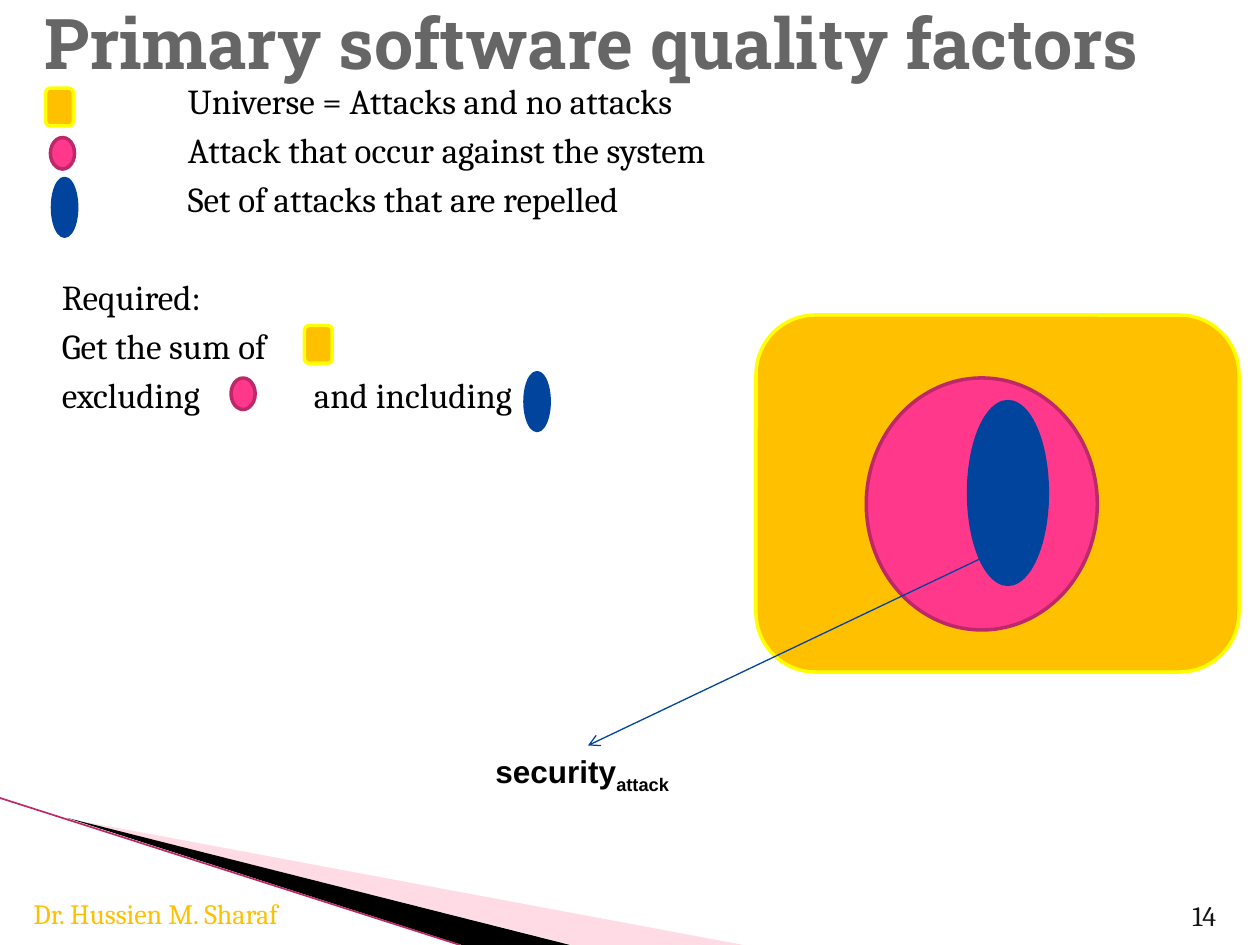
from dataclasses import dataclass
from typing import NamedTuple

from pptx import Presentation
from pptx.dml.color import RGBColor as RGB
from pptx.enum.shapes import MSO_CONNECTOR as CONN, MSO_SHAPE as SHAPE
from pptx.enum.text import MSO_ANCHOR as ANCHOR, MSO_AUTO_SIZE as AUTO, PP_ALIGN as ALIGN
from pptx.oxml.ns import qn
from pptx.oxml.xmlchemy import OxmlElement as Element
from pptx.util import Emu, Inches, Pt

COLS, ROWS = 120, 90
UNIT = Inches(10) // COLS


@dataclass(frozen=True)
class Theme:
    universe: str = "FFC000"
    universe_edge: str = "FFFF00"
    attack: str = "FF388C"
    attack_edge: str = "BD2968"
    repelled: str = "00449E"
    wedge: str = "FFA5BF"
    black: str = "000000"
    heading: str = "666666"
    number: str = "151515"
    head_font: str = "Roboto Slab"
    text_font: str = "Cambria"
    label_font: str = "Arial"
    head_size: int = 40
    text_size: int = 20
    label_size: int = 18
    foot_size: int = 16


T = Theme()


class Box(NamedTuple):
    col: float
    row: float
    cols: float
    rows: float


class Look(NamedTuple):
    shape: SHAPE
    fill: str
    edge: str
    cols: float
    rows: float


UNIVERSE = Look(SHAPE.ROUNDED_RECTANGLE, T.universe, T.universe_edge, 2.64, 3.6)
ATTACK = Look(SHAPE.OVAL, T.attack, T.attack_edge, 2.3, 3)
REPELLED = Look(SHAPE.OVAL, T.repelled, T.repelled, 2.3, 5.5)

KEYS = [
    (UNIVERSE, 4.35, 8.4), (ATTACK, 4.8, 13.1), (REPELLED, 5, 17),
    (UNIVERSE, 29, 31), (ATTACK, 22, 36), (REPELLED, 50, 35.5),
]
DIAGRAM = [
    (UNIVERSE, Box(72, 30, 46, 34)),
    (ATTACK, Box(82.5, 36, 22, 24)),
    (REPELLED, Box(92.25, 38.25, 7.5, 17.4)),
]
WEDGES = [
    ([(6.6, 78), (70.8, 90), (54.5, 90)], T.wedge, 40),
    ([(6.4, 77.9), (54.3, 90), (44, 90)], T.black, 100),
]
LINES = [
    ("\tUniverse = Attacks and no attacks", 0),
    ("\tAttack that occur against the system", 4),
    ("\tSet of attacks that are repelled", 4),
    ("Required:", 32),
    ("Get the sum of", 4),
    ("excluding \tand including", 4),
]


def u(n: float) -> Emu:
    return Emu(round(n * UNIT))


def apply(obj, values: dict) -> None:
    for name, value in values.items():
        setattr(obj, name, value)


def place(sp, box: Box) -> None:
    apply(sp, dict(zip(("left", "top", "width", "height"), map(u, box))))


def add_run(p, text: str, font: str, size: int, color: str, bold: bool = False):
    r = p.add_run()
    r.text = text
    apply(r.font, {"name": font, "size": Pt(size), "bold": bold})
    r.font.color.rgb = RGB.from_string(color)
    return r


def add_shape(s, look: Look, box: Box) -> None:
    sp = s.shapes.add_shape(look.shape, *map(u, box))
    sp.shadow.inherit = False
    sp.fill.solid()
    sp.fill.fore_color.rgb = RGB.from_string(look.fill)
    sp.line.color.rgb = RGB.from_string(look.edge)
    sp.line.width = Pt(2)


def add_wedge(s, points: list, color: str, opacity: int) -> None:
    start, *rest = [(u(x), u(y)) for x, y in points]
    fb = s.shapes.build_freeform(*start)
    fb.add_line_segments(rest)
    sp = fb.convert_to_shape()
    sp.shadow.inherit = False
    sp.fill.solid()
    sp.fill.fore_color.rgb = RGB.from_string(color)
    sp.line.fill.background()
    if opacity < 100:
        alpha = Element("a:alpha")
        alpha.set("val", str(opacity * 1000))
        sp.fill._xPr.find(".//" + qn("a:srgbClr")).append(alpha)


def add_line(s, start: tuple, end: tuple, color: str, width: float, arrow: bool = False) -> None:
    sp = s.shapes.add_connector(CONN.STRAIGHT, *map(u, start + end))
    sp.line.color.rgb = RGB.from_string(color)
    sp.line.width = Pt(width)
    if arrow:
        tail = Element("a:tailEnd")
        tail.set("type", "arrow")
        sp.line._get_or_add_ln().append(tail)
    sp._element.spPr.append(Element("a:effectLst"))


def add_text(s, box: Box, align: ALIGN = ALIGN.LEFT, wrap: bool = True):
    sp = s.shapes.add_textbox(*map(u, box))
    sp.text_frame.word_wrap = wrap
    p = sp.text_frame.paragraphs[0]
    p.alignment = align
    return sp.text_frame, p


def fill_body(sp) -> None:
    place(sp, Box(3.25, 7, 117, 24))
    tf = sp.text_frame
    apply(tf, {"word_wrap": True, "auto_size": AUTO.NONE, "vertical_anchor": ANCHOR.TOP})
    layout = {"marL": Inches(0.12), "indent": 0, "defTabSz": Inches(1)}
    for i, (text, before) in enumerate(LINES):
        p = tf.add_paragraph() if i else tf.paragraphs[0]
        pPr = p._p.get_or_add_pPr()
        for name, value in layout.items():
            pPr.set(name, str(value))
        pPr.append(Element("a:buNone"))
        p.space_before = Pt(before)
        add_run(p, text, T.text_font, T.text_size, T.black)


def fill_title(sp) -> None:
    place(sp, Box(3, 0, 117, 8))
    tf = sp.text_frame
    apply(tf, {"word_wrap": True, "auto_size": AUTO.NONE, "vertical_anchor": ANCHOR.MIDDLE})
    p = tf.paragraphs[0]
    p.alignment = ALIGN.LEFT
    add_run(p, "Primary software quality factors", T.head_font, T.head_size, T.heading, True)


def main() -> None:
    prs = Presentation()
    apply(prs, {"slide_width": u(COLS), "slide_height": u(ROWS)})
    s = prs.slides.add_slide(prs.slide_layouts[1])
    fill_title(s.shapes.title)
    fill_body(s.placeholders[1])

    for wedge in WEDGES:
        add_wedge(s, *wedge)
    add_line(s, (0, 76), (43.8, ROWS), T.attack_edge, 0.95)

    for look, box in DIAGRAM:
        add_shape(s, look, box)
    for look, col, row in KEYS:
        add_shape(s, look, Box(col, row, look.cols, look.rows))

    tf, p = add_text(s, Box(46, 71, 19.8, 4.8), wrap=False)
    tf.auto_size = AUTO.SHAPE_TO_FIT_TEXT
    label = (T.label_font, T.label_size, T.black, True)
    add_run(p, "security", *label)
    r = add_run(p, "attack", *label)
    r.font._element.set("baseline", "-25000")
    add_line(s, (93.4, 53.2), (56, 71), T.repelled, 0.75, True)

    p = add_text(s, Box(107, 85, 10, 3.2), ALIGN.RIGHT)[1]
    add_run(p, "14", T.text_font, T.foot_size, T.number)
    p = add_text(s, Box(2, 84.75, 33, 3.8))[1]
    add_run(p, "Dr. Hussien M. Sharaf", T.text_font, T.foot_size, T.universe)

    prs.save("out.pptx")


if __name__ == "__main__":
    main()
